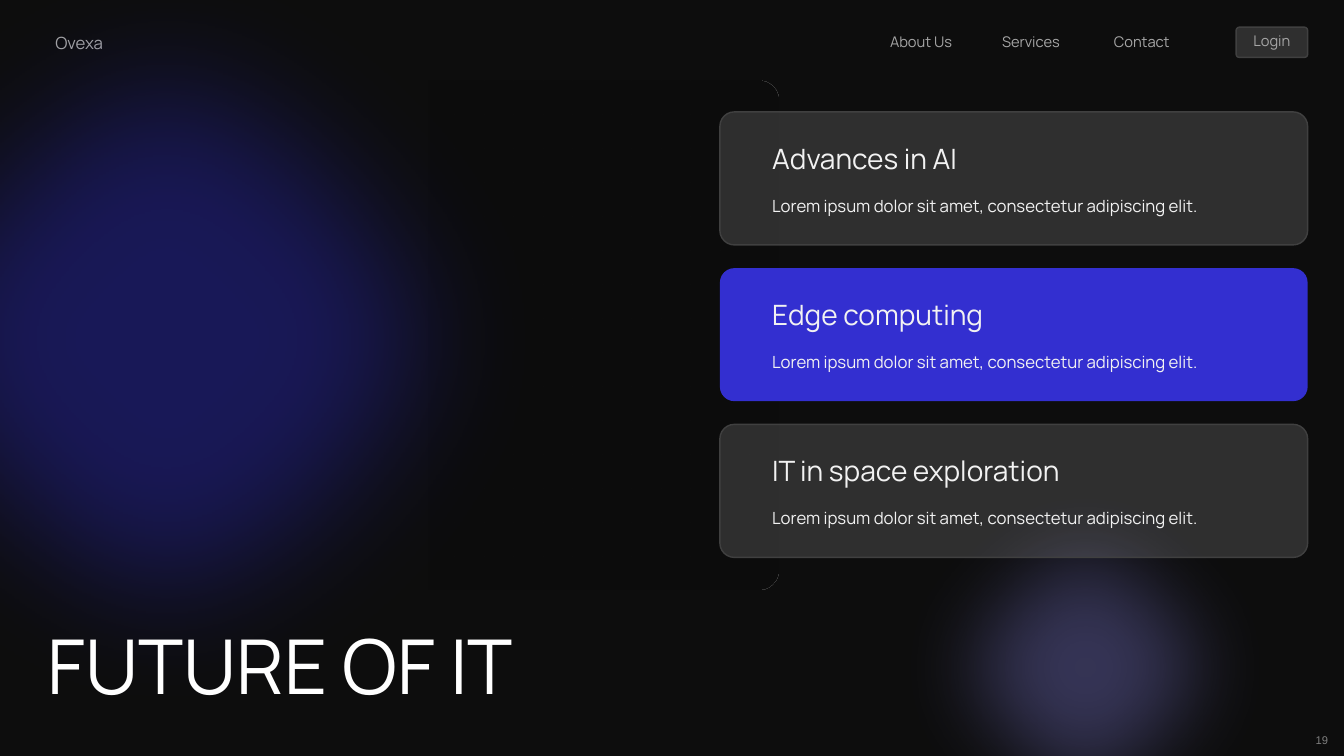
from dataclasses import dataclass
from math import cos, pi, sin
from typing import Optional

from lxml.etree import SubElement
from pptx import Presentation
from pptx.dml.color import RGBColor
from pptx.enum.shapes import MSO_SHAPE as Preset
from pptx.enum.text import MSO_ANCHOR as Anchor, PP_ALIGN as Align
from pptx.oxml.ns import qn
from pptx.shapes.autoshape import Shape
from pptx.slide import Slide
from pptx.util import Inches, Pt


@dataclass(frozen=True)
class Theme:
    background: str = "0D0D0D"
    accent: str = "332FD0"
    glass: str = "F2F2F2"
    border: str = "404040"
    white: str = "FFFFFF"
    muted: str = "A6A6A6"
    faint: str = "7F7F7F"
    deep_glow: str = "26239C"
    pale_glow: str = "8582E3"
    font: str = "Manrope"
    number_font: str = "Arial"
    title_size: float = 54
    heading_size: float = 20
    body_size: float = 12
    menu_size: float = 10.5
    number_size: float = 8


@dataclass(frozen=True)
class Box:
    left: float
    top: float
    width: float
    height: float

    def lengths(self) -> tuple:
        return tuple(Inches(v) for v in (self.left, self.top, self.width, self.height))


@dataclass(frozen=True)
class Glow:
    box: Box
    color: str
    opacity: int
    softness: float


@dataclass(frozen=True)
class Card:
    heading: str
    highlighted: bool = False


THEME = Theme()
BODY = "Lorem ipsum dolor sit amet, consectetur adipiscing elit."
MENU = ("About Us", "Services", "Contact")
MENU_LEFT, MENU_STEP = 8.73, 1.11
GLOWS = (
    Glow(Box(-2.49, -0.79, 8.31, 8.31), THEME.deep_glow, 52, 1.39),
    Glow(Box(8.56, 4.42, 4.4, 4.4), THEME.pale_glow, 34, 0.88),
)
CARDS = (
    Card("Advances in AI"),
    Card("Edge computing", highlighted=True),
    Card("IT in space exploration"),
)
CARD_TOP, CARD_STEP = 1.11, 1.55
PANEL = Box(4.22, 0.8, 3.5, 5.05)
PANEL_RADIUS, ARC_STEPS = 0.2, 12


def set_opacity(shape: Shape, percents: tuple[int, ...]) -> None:
    """Give each colour of the fill its opacity, in order."""
    colors = shape._element.spPr.iter(qn("a:srgbClr"))
    for color, percent in zip(colors, percents):
        SubElement(color, qn("a:alpha")).set("val", str(percent * 1000))


def add_filled(slide: Slide, preset: Preset, box: Box, color: str,
               opacity: int = 100, border: Optional[str] = None,
               corner: Optional[float] = None) -> Shape:
    shape = slide.shapes.add_shape(preset, *box.lengths())
    shape.shadow.inherit = False
    shape.fill.solid()
    shape.fill.fore_color.rgb = RGBColor.from_string(color)
    if opacity < 100:
        set_opacity(shape, (opacity,))
    if border:
        shape.line.color.rgb = RGBColor.from_string(border)
        shape.line.width = Pt(1)
    else:
        shape.line.fill.background()
    if corner is not None:
        shape.adjustments[0] = corner
    return shape


def write(shape: Shape, text: str, size: float, color: str, font: str = THEME.font,
          align: Align = Align.LEFT, spacing: float = 1.0) -> None:
    frame = shape.text_frame
    frame.text = text
    frame.word_wrap = True
    frame.vertical_anchor = Anchor.TOP
    paragraph = frame.paragraphs[0]
    paragraph.alignment = align
    paragraph.line_spacing = spacing
    run_font = paragraph.runs[0].font
    run_font.size = Pt(size)
    run_font.name = font
    run_font.color.rgb = RGBColor.from_string(color)


def add_label(slide: Slide, box: Box, text: str, size: float, color: str,
              font: str = THEME.font, align: Align = Align.LEFT,
              spacing: float = 1.0) -> None:
    write(slide.shapes.add_textbox(*box.lengths()), text, size, color, font, align, spacing)


def add_header(slide: Slide) -> None:
    login = Box(12.26, 0.27, 0.71, 0.3)
    add_filled(slide, Preset.ROUNDED_RECTANGLE, login, THEME.glass, 15, THEME.border, 0.105)
    add_label(slide, Box(0.45, 0.28, 0.79, 0.3), "Ovexa", THEME.body_size, THEME.muted)
    for index, entry in enumerate(MENU):
        box = Box(MENU_LEFT + index * MENU_STEP, 0.28, 0.87, 0.29)
        add_label(slide, box, entry, THEME.menu_size, THEME.muted)
    add_label(slide, login, "Login", THEME.menu_size, THEME.muted, align=Align.CENTER)
    add_label(slide, Box(12.4, 7.23, 0.87, 0.24), "19", THEME.number_size,
              THEME.faint, THEME.number_font, Align.RIGHT)


def add_glow(slide: Slide, glow: Glow) -> None:
    shape = add_filled(slide, Preset.OVAL, glow.box, glow.color, glow.opacity)
    effects = shape._element.spPr.find(qn("a:effectLst"))
    SubElement(effects, qn("a:softEdge")).set("rad", str(Inches(glow.softness)))


def add_fading_panel(slide: Slide) -> None:
    right, bottom = PANEL.left + PANEL.width, PANEL.top + PANEL.height
    center_x = right - PANEL_RADIUS
    corners = ((PANEL.top + PANEL_RADIUS, -pi / 2), (bottom - PANEL_RADIUS, 0))
    outline = [
        (center_x + PANEL_RADIUS * cos(start + step * pi / 2 / ARC_STEPS),
         center_y + PANEL_RADIUS * sin(start + step * pi / 2 / ARC_STEPS))
        for center_y, start in corners for step in range(ARC_STEPS + 1)
    ]
    outline.append((PANEL.left, bottom))
    builder = slide.shapes.build_freeform(Inches(PANEL.left), Inches(PANEL.top))
    builder.add_line_segments([(Inches(x), Inches(y)) for x, y in outline], close=True)
    panel = builder.convert_to_shape()
    panel.shadow.inherit = False
    panel.line.fill.background()
    panel.fill.gradient()
    panel.fill.gradient_angle = 0
    for stop in panel.fill.gradient_stops:
        stop.color.rgb = RGBColor.from_string(THEME.background)
    set_opacity(panel, (0, 80))


def add_title(slide: Slide) -> None:
    title = slide.shapes.title
    title.left, title.top, title.width, title.height = Box(0.37, 6.09, 6.3, 1.01).lengths()
    write(title, "FUTURE OF IT", THEME.title_size, THEME.white)
    slide.shapes._spTree.append(title._element)  # in front of the glows


def add_card(slide: Slide, card: Card, top: float) -> None:
    box = Box(7.14, top, 5.83, 1.32)
    if card.highlighted:
        add_filled(slide, Preset.ROUNDED_RECTANGLE, box, THEME.accent, corner=0.109)
    else:
        add_filled(slide, Preset.ROUNDED_RECTANGLE, box, THEME.glass, 15, THEME.border, 0.109)
    add_label(slide, Box(7.56, top + 0.68, 5.41, 0.4), BODY, THEME.body_size,
              THEME.glass, spacing=1.5)
    add_label(slide, Box(7.56, top + 0.24, 5.41, 0.44), card.heading,
              THEME.heading_size, THEME.glass)


def main() -> None:
    deck = Presentation()
    deck.slide_width, deck.slide_height = Inches(13.33), Inches(7.5)
    slide = deck.slides.add_slide(deck.slide_layouts[5])
    slide.background.fill.solid()
    slide.background.fill.fore_color.rgb = RGBColor.from_string(THEME.background)

    # Header and page number
    add_header(slide)

    # Background glows and fading panel
    for glow in GLOWS:
        add_glow(slide, glow)
    add_fading_panel(slide)

    # Title and topic cards
    add_title(slide)
    for index, card in enumerate(CARDS):
        add_card(slide, card, CARD_TOP + index * CARD_STEP)

    deck.save("out.pptx")


if __name__ == "__main__":
    main()
